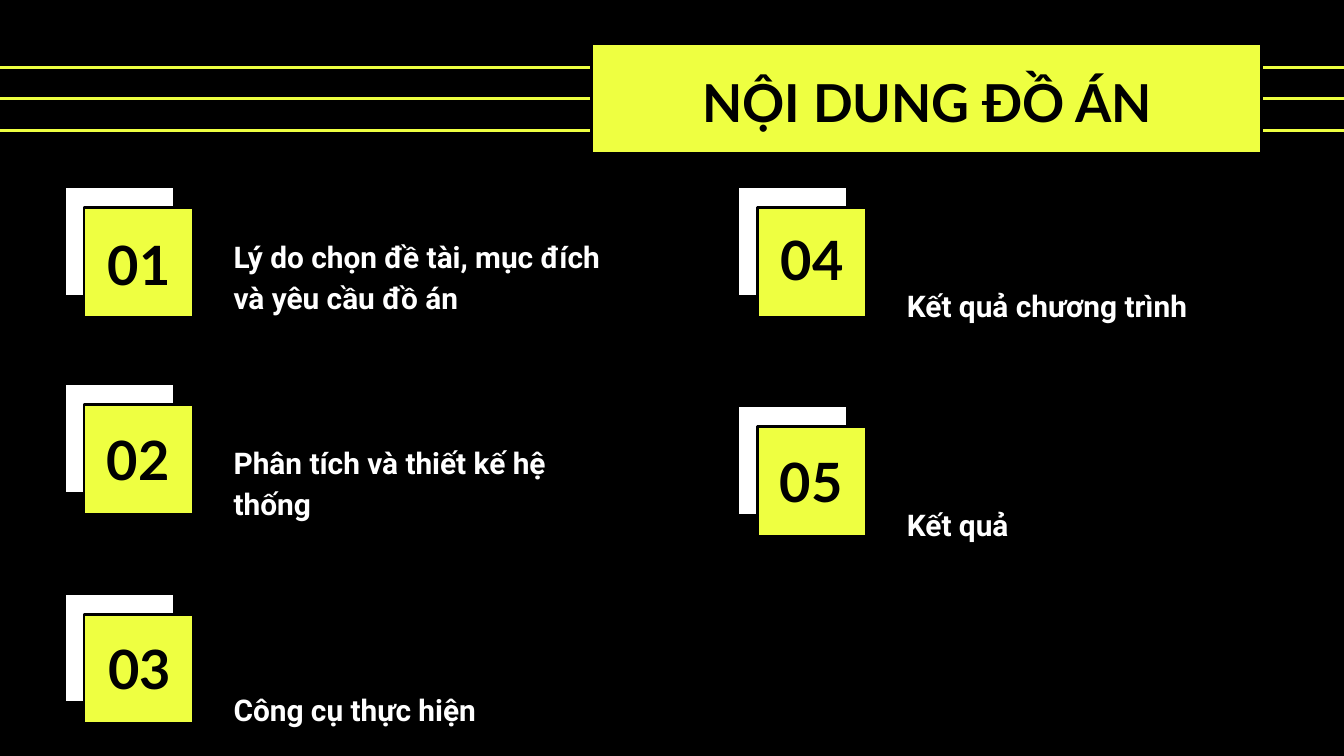
from pptx import Presentation
from pptx.dml.color import RGBColor
from pptx.enum.shapes import MSO_CONNECTOR, MSO_SHAPE
from pptx.enum.text import MSO_ANCHOR, MSO_AUTO_SIZE, PP_ALIGN
from pptx.oxml.ns import qn
from pptx.util import Pt
from lxml.etree import SubElement

TITLE = "NỘI DUNG ĐỒ ÁN"
# number, caption, marker (left, top), number offset, caption (top offset, height)
TOPICS = [
    ("01", "Lý do chọn đề tài, mục đích và yêu cầu đồ án", (96, 278), (15, 43), (16, 196)),
    ("02", "Phân tích và thiết kế hệ thống", (96, 571), (14, 41), (5, 220)),
    ("03", "Công cụ thực hiện", (96, 883), (16, 40), (0, 220)),
    ("04", "Kết quả chương trình", (1098, 278), (15, 36), (3, 220)),
    ("05", "Kết quả", (1098, 604), (13, 40), (3, 220)),
]
COLORS = {"black": "000000", "white": "FFFFFF", "lime": "EEFF41"}

PX = 4572  # 200 px to the inch
SLIDE_SIZE = (2000, 1125)
STRIPE_TOPS = (100, 147, 194)
BANNER = (880, 65, 997, 164)
TITLE_BOX = (886, 84, 988, 126)
SQUARE = 163
SQUARE_SHIFT = (29, 31)
NUMBER_SIZE = (192, 140)
CAPTION_SHIFT, CAPTION_WIDTH = 232, 592
INSET = 20


def emu(*lengths):
    return [length * PX for length in lengths]


def color(name):
    return RGBColor.from_string(COLORS[name])


def add_stripe(slide, top):
    stripe = slide.shapes.add_connector(MSO_CONNECTOR.STRAIGHT, *emu(0, top, SLIDE_SIZE[0], top))
    stripe.line.color.rgb = color("lime")
    stripe.line.width = Pt(1.5)
    SubElement(stripe.element.spPr, qn("a:effectLst"))


def add_rectangle(slide, box, fill):
    rectangle = slide.shapes.add_shape(MSO_SHAPE.RECTANGLE, *emu(*box))
    rectangle.shadow.inherit = False
    rectangle.fill.solid()
    rectangle.fill.fore_color.rgb = color(fill)
    rectangle.line.color.rgb = color("black")
    rectangle.line.width = Pt(1.5)


def write(shape, text, font_name, size, font_color, anchor, align, line_spacing=1.0):
    frame = shape.text_frame
    frame.text = text
    frame.word_wrap = True
    frame.auto_size = MSO_AUTO_SIZE.NONE
    frame.vertical_anchor = anchor
    frame.margin_left = frame.margin_top = frame.margin_right = frame.margin_bottom = INSET * PX
    paragraph = frame.paragraphs[0]
    paragraph.alignment = align
    paragraph.line_spacing = line_spacing
    paragraph.space_before = Pt(0)
    font = paragraph.runs[0].font
    font.name, font.size, font.bold = font_name, Pt(size), True
    font.color.rgb = color(font_color)


def add_topic(slide, number, caption, marker, number_offset, caption_place):
    left, top = marker
    shift_x, shift_y = SQUARE_SHIFT
    add_rectangle(slide, (left, top, SQUARE, SQUARE), "white")
    add_rectangle(slide, (left + shift_x, top + shift_y, SQUARE, SQUARE), "lime")

    offset_x, offset_y = number_offset
    number_box = slide.shapes.add_textbox(*emu(left + offset_x, top + offset_y, *NUMBER_SIZE))
    write(number_box, number, "Lato", 29, "black", MSO_ANCHOR.BOTTOM, PP_ALIGN.CENTER)

    caption_offset, caption_height = caption_place
    caption_box = slide.shapes.add_textbox(
        *emu(left + CAPTION_SHIFT, top + caption_offset, CAPTION_WIDTH, caption_height))
    write(caption_box, caption, "Roboto", 16, "white", MSO_ANCHOR.BOTTOM, PP_ALIGN.LEFT, 1.15)
    caption_box.text_frame.paragraphs[0].space_after = Pt(16)


def main():
    presentation = Presentation()
    presentation.slide_width, presentation.slide_height = emu(*SLIDE_SIZE)
    slide = presentation.slides.add_slide(presentation.slide_layouts[5])
    slide.background.fill.solid()
    slide.background.fill.fore_color.rgb = color("black")

    for top in STRIPE_TOPS:
        add_stripe(slide, top)
    add_rectangle(slide, BANNER, "lime")

    title = slide.shapes.title
    title.left, title.top, title.width, title.height = emu(*TITLE_BOX)
    write(title, TITLE, "Lato", 28, "black", MSO_ANCHOR.TOP, PP_ALIGN.CENTER)
    title.element.getparent().append(title.element)  # in front of the banner

    for topic in TOPICS:
        add_topic(slide, *topic)
    presentation.save("out.pptx")


if __name__ == "__main__":
    main()
